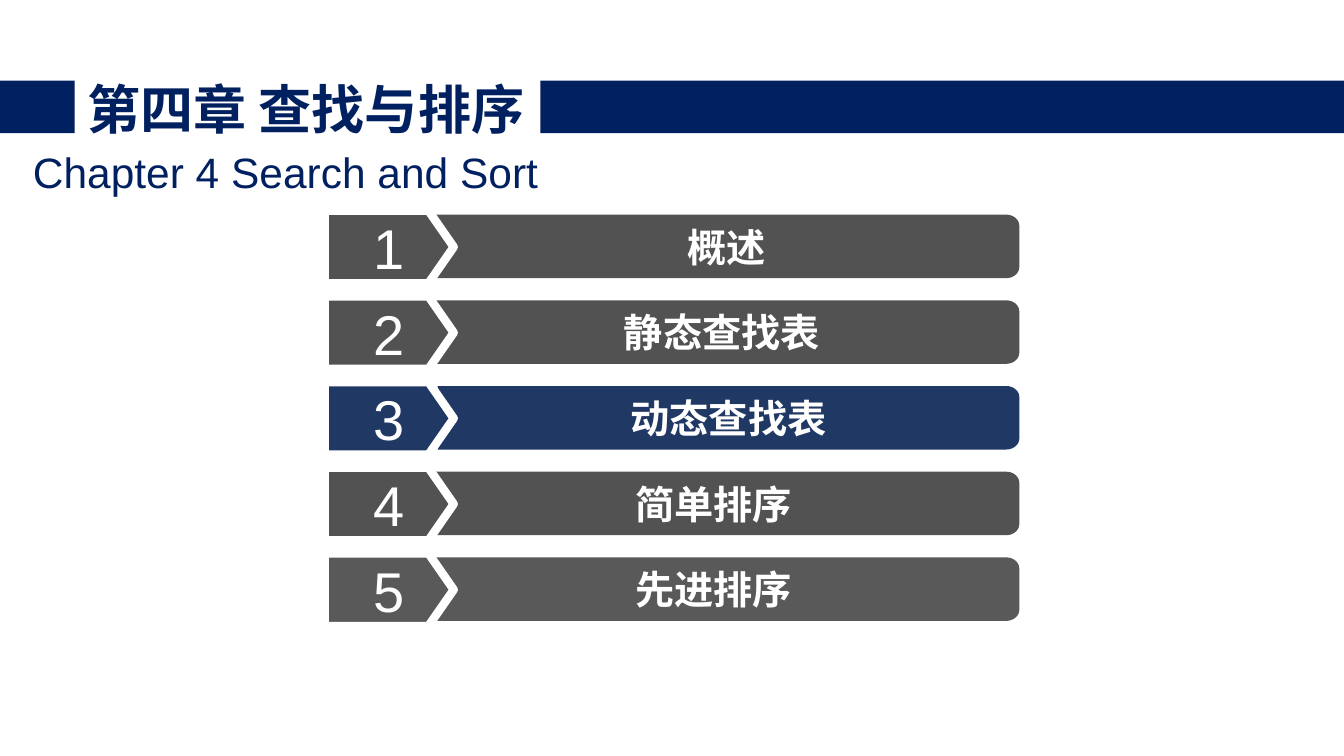
import math
from dataclasses import dataclass

from pptx import Presentation
from pptx import util as u
from pptx.dml.color import RGBColor
from pptx.enum import shapes, text

COLORS = {
    "navy": "002060",
    "active": "203864",
    "gray": "525252",
    "light_gray": "595959",
    "white": "FFFFFF",
}
FONT = "Arial"
FIRST_ROW_TOP = 2.09
ROW_PITCH = 0.85
BAR_RIGHT = 10.11
BAR_HEIGHT = 0.63
TAG_LEFT, TAG_WIDTH, TAG_HEIGHT, TAG_POINT = 3.22, 1.28, 0.72, 0.25


@dataclass(frozen=True)
class Section:
    name: str
    color: str
    bar_left: float
    indent: float = 0


@dataclass(frozen=True)
class Band:
    left: float
    width: float


SECTIONS = [
    Section("概述", "gray", 4.31),
    Section("静态查找表", "gray", 4.05, 0.16),
    Section("动态查找表", "active", 4.34),
    Section("简单排序", "gray", 4.05),
    Section("先进排序", "light_gray", 4.05),
]
BANDS = [Band(0, 0.74), Band(5.36, 7.98)]


def rgb(name: str) -> RGBColor:
    return RGBColor.from_string(COLORS[name])


def fill_shape(shape, color: str) -> None:
    shape.shadow.inherit = False
    shape.fill.solid()
    shape.fill.fore_color.rgb = rgb(color)
    shape.line.fill.background()


def write(shape, content: str, size: float, color: str, bold: bool = False,
          indent: float = 0) -> None:
    frame = shape.text_frame
    frame.text = content
    frame.word_wrap = True
    frame.auto_size = text.MSO_AUTO_SIZE.NONE
    frame.vertical_anchor = text.MSO_ANCHOR.MIDDLE
    frame.margin_left = u.Inches(indent)
    frame.margin_top = frame.margin_right = frame.margin_bottom = 0
    para = frame.paragraphs[0]
    para.alignment = text.PP_ALIGN.CENTER
    for span in para.runs:
        span.font.name = FONT
        span.font.size = u.Pt(size)
        span.font.bold = bold
        span.font.color.rgb = rgb(color)


def bar_points(left: float, top: float) -> list[tuple[int, int]]:
    radius_x, radius_y = 0.13, 0.11
    bottom = top + BAR_HEIGHT
    points = [(left, top)]
    for center_y, start in ((top + radius_y, -90), (bottom - radius_y, 0)):
        for degrees in range(start, start + 91, 10):
            angle = math.radians(degrees)
            points.append((BAR_RIGHT - radius_x + radius_x * math.cos(angle),
                           center_y + radius_y * math.sin(angle)))
    points.append((left, bottom))
    return [(u.Inches(x), u.Inches(y)) for x, y in points]


def draw_section(page, index: int, section: Section) -> None:
    top = FIRST_ROW_TOP + index * ROW_PITCH
    start, *others = bar_points(section.bar_left, top + 0.04)
    builder = page.shapes.build_freeform(*start)
    builder.add_line_segments(others, close=True)
    bar = builder.convert_to_shape()
    fill_shape(bar, section.color)
    write(bar, section.name, 28, "white", bold=True, indent=section.indent)

    tag = page.shapes.add_shape(
        shapes.MSO_SHAPE.PENTAGON, u.Inches(TAG_LEFT), u.Inches(top),
        u.Inches(TAG_WIDTH), u.Inches(TAG_HEIGHT))
    tag.adjustments[0] = TAG_POINT / TAG_HEIGHT
    fill_shape(tag, section.color)
    tag.line.color.rgb = rgb("white")
    tag.line.width = u.Pt(6)
    write(tag, str(index + 1), 40, "white", indent=TAG_POINT / 2)


def draw_band(page, band: Band) -> None:
    shape = page.shapes.add_shape(
        shapes.MSO_SHAPE.RECTANGLE, u.Inches(band.left), u.Inches(0.8),
        u.Inches(band.width), u.Inches(0.52))
    fill_shape(shape, "navy")


def draw_headings(page) -> None:
    title = page.shapes.title
    title.left, title.top = u.Inches(0.83), u.Inches(0.75)
    title.width, title.height = u.Inches(4.41), u.Inches(0.64)
    write(title, "第四章 查找与排序", 37.9, "navy", bold=True)
    title.text_frame.word_wrap = False

    subtitle = page.shapes.add_textbox(
        u.Inches(0.2), u.Inches(1.45), u.Inches(5.27), u.Inches(0.51))
    write(subtitle, "Chapter 4 Search and Sort", 30.3, "navy")
    subtitle.text_frame.vertical_anchor = text.MSO_ANCHOR.TOP


def main() -> None:
    deck = Presentation()
    deck.slide_width, deck.slide_height = u.Inches(13.33), u.Inches(7.5)
    page = deck.slides.add_slide(deck.slide_layouts.get_by_name("Title Only"))
    for index, section in enumerate(SECTIONS):
        draw_section(page, index, section)
    for band in BANDS:
        draw_band(page, band)
    draw_headings(page)
    deck.save("out.pptx")


if __name__ == "__main__":
    main()
